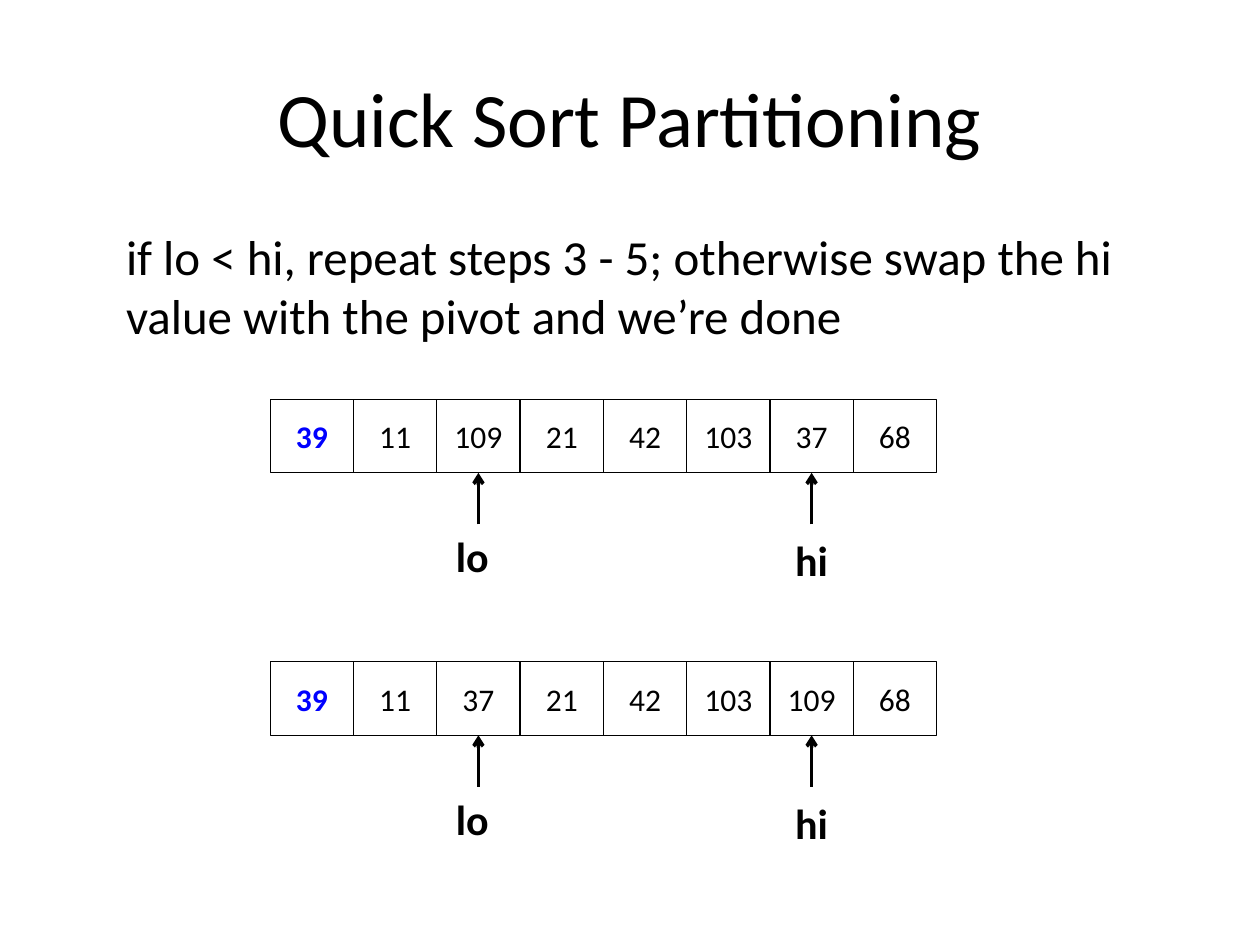
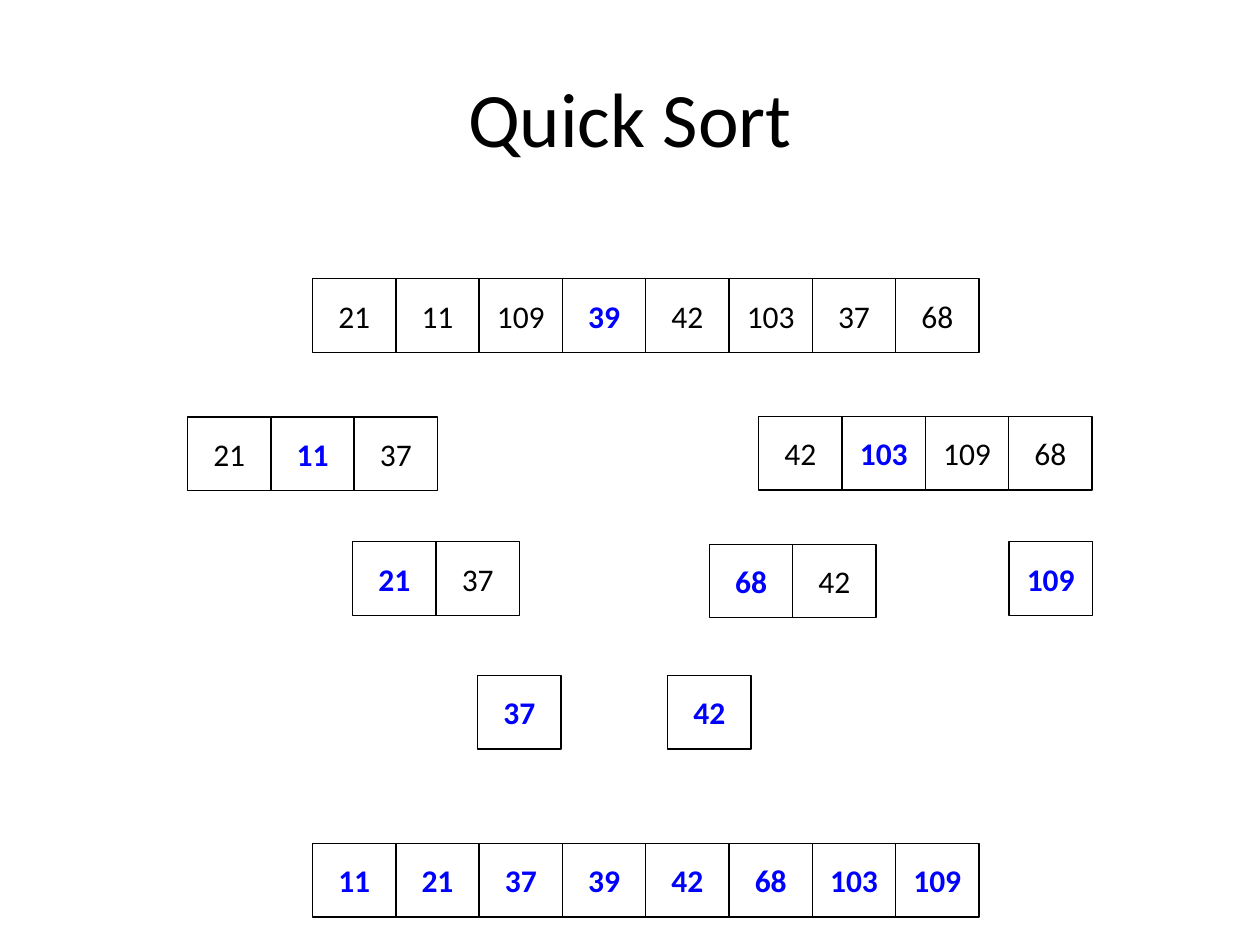
from dataclasses import dataclass

from pptx import Presentation
from pptx.dml.color import RGBColor
from pptx.enum import shapes, text
from pptx.oxml.ns import qn
from pptx.util import Pt
from lxml import etree

# Shared look
FONT = "Calibri"
BLACK = RGBColor(0x00, 0x00, 0x00)
BLUE = RGBColor(0x00, 0x00, 0xFF)
CELL_WIDTH, CELL_HEIGHT = 47.6, 42
ARROW_LENGTH = 29.5
TITLE_ONLY, TITLE_AND_BODY = 5, 1


@dataclass(frozen=True)
class ArrayRow:
    """A run of touching cells; pivots are the indexes shown in blue."""
    left: float
    top: float
    values: tuple[int, ...]
    pivots: tuple[int, ...] = ()


@dataclass(frozen=True)
class Marker:
    """A labelled arrow that points up at one cell."""
    label: str
    index: int
    label_shift: float
    label_drop: float


PARTITION_ROWS = (
    ArrayRow(154.4, 228.2, (39, 11, 109, 21, 42, 103, 37, 68), (0,)),
    ArrayRow(154.4, 378.2, (39, 11, 37, 21, 42, 103, 109, 68), (0,)),
)
MARKERS = (Marker("lo", 2, -20, 0), Marker("hi", 6, -16.5, 2.4))

SORT_ROWS = (
    ArrayRow(178.6, 159.3, (21, 11, 109, 39, 42, 103, 37, 68), (3,)),
    ArrayRow(107.2, 238.4, (21, 11, 37), (1,)),
    ArrayRow(433.6, 238, (42, 103, 109, 68), (1,)),
    ArrayRow(201.6, 309.6, (21, 37), (0,)),
    ArrayRow(405.4, 311, (68, 42), (0,)),
    ArrayRow(576.6, 309.6, (109,), (0,)),
    ArrayRow(273, 386, (37,), (0,)),
    ArrayRow(381.6, 386, (42,), (0,)),
    ArrayRow(178.6, 482, (11, 21, 37, 39, 42, 68, 103, 109), tuple(range(8))),
)


def place(box, left: float, top: float, width: float, height: float) -> None:
    box.left, box.top = Pt(left), Pt(top)
    box.width, box.height = Pt(width), Pt(height)


def write(box, words: str, *, size: float, color: RGBColor = BLACK,
          bold: bool = False, align=text.PP_ALIGN.LEFT,
          anchor=text.MSO_ANCHOR.TOP):
    """Put one formatted paragraph in a box and return the paragraph."""
    frame = box.text_frame
    frame.word_wrap = True
    frame.vertical_anchor = anchor
    para = frame.paragraphs[0]
    para.alignment = align
    span = para.add_run()
    span.text = words
    span.font.name, span.font.size = FONT, Pt(size)
    span.font.bold, span.font.color.rgb = bold, color
    return para


def add_page(deck, layout: int, title: str):
    page = deck.slides.add_slide(deck.slide_layouts[layout])
    place(page.shapes.title, 36, 21.6, 648, 90)
    write(page.shapes.title, title, size=44, align=text.PP_ALIGN.CENTER,
          anchor=text.MSO_ANCHOR.MIDDLE)
    return page


def add_body(page, words: str) -> None:
    body = page.placeholders[1]
    place(body, 64.8, 126, 619.2, 74.2)
    properties = write(body, words, size=28)._p.get_or_add_pPr()
    properties.set("marL", "0")
    properties.set("indent", "0")
    etree.SubElement(properties, qn("a:buNone"))


def add_row(page, row: ArrayRow) -> list:
    """Draw the cells of a row from left to right."""
    cells = []
    for index, value in enumerate(row.values):
        cell = page.shapes.add_shape(
            shapes.MSO_SHAPE.RECTANGLE,
            Pt(row.left + index * CELL_WIDTH), Pt(row.top),
            Pt(CELL_WIDTH), Pt(CELL_HEIGHT))
        cell.shadow.inherit = False
        cell.fill.background()
        cell.line.color.rgb, cell.line.width = BLACK, Pt(0.75)
        is_pivot = index in row.pivots
        write(cell, str(value), size=18, color=BLUE if is_pivot else BLACK,
              bold=is_pivot, align=text.PP_ALIGN.CENTER,
              anchor=text.MSO_ANCHOR.MIDDLE)
        cells.append(cell)
    return cells


def add_marker(page, row: ArrayRow, cell, marker: Marker) -> None:
    center = row.left + (marker.index + 0.5) * CELL_WIDTH
    tip = row.top + CELL_HEIGHT
    base = tip + ARROW_LENGTH

    # Arrow joined to the bottom of its cell
    arrow = page.shapes.add_connector(
        shapes.MSO_CONNECTOR.STRAIGHT, Pt(center), Pt(base), Pt(center), Pt(tip))
    arrow.end_connect(cell, 2)
    arrow.line.color.rgb, arrow.line.width = BLACK, Pt(2)
    etree.SubElement(arrow.line._get_or_add_ln(), qn("a:tailEnd"), type="arrow")
    etree.SubElement(arrow._element.spPr, qn("a:effectLst"))

    # Label under the arrow
    label = page.shapes.add_textbox(
        Pt(center + marker.label_shift), Pt(base + marker.label_drop),
        Pt(41), Pt(36))
    write(label, marker.label, size=24, bold=True)
    label.text_frame.auto_size = text.MSO_AUTO_SIZE.SHAPE_TO_FIT_TEXT


def build_partitioning(deck) -> None:
    page = add_page(deck, TITLE_AND_BODY, "Quick Sort Partitioning")
    add_body(page, "if lo < hi, repeat steps 3 - 5; otherwise swap the hi "
                   "value with the pivot and we’re done")
    for row in PARTITION_ROWS:
        cells = add_row(page, row)
        for marker in MARKERS:
            add_marker(page, row, cells[marker.index], marker)


def build_sort(deck) -> None:
    page = add_page(deck, TITLE_ONLY, "Quick Sort")
    for row in SORT_ROWS:
        add_row(page, row)


def main() -> None:
    deck = Presentation()
    deck.slide_width, deck.slide_height = Pt(720), Pt(540)
    build_partitioning(deck)
    build_sort(deck)
    deck.save("out.pptx")


if __name__ == "__main__":
    main()
